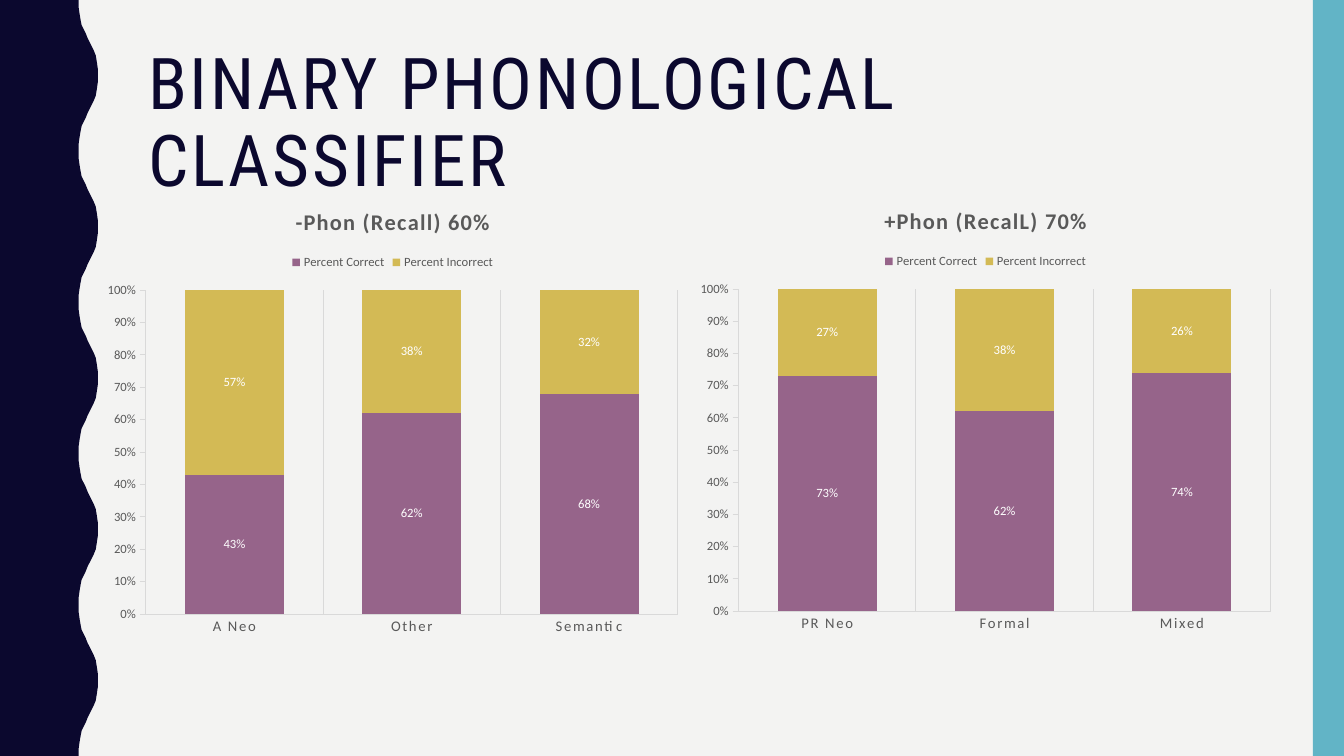
import pptx
import pptx.chart.data
import pptx.dml.color
import pptx.enum.chart
import pptx.enum.shapes
import pptx.enum.text
import pptx.util
from dataclasses import dataclass

Inches, Pt = pptx.util.Inches, pptx.util.Pt
XL = pptx.enum.chart


@dataclass(frozen=True)
class Theme:
    """Colours, fonts and type sizes of the slide."""
    background: str = "F3F3F2"
    navy: str = "0B082E"
    teal: str = "62B4C6"
    correct: str = "96648A"
    incorrect: str = "D3BA55"
    grey: str = "595959"
    rule: str = "D9D9D9"
    white: str = "FFFFFF"
    title_font: str = "Roboto Condensed"
    chart_font: str = "Calibri"
    title_size: float = 51
    chart_title_size: float = 16
    category_size: float = 10.5
    small_size: float = 9


THEME = Theme()
# One half of a wave, from trough to crest
HALF_WAVE = [(0.78, 0), (0.78, 0.07), (0.79, 0.14), (0.8, 0.2), (0.81, 0.25),
             (0.83, 0.29), (0.85, 0.33), (0.87, 0.38), (0.89, 0.42),
             (0.91, 0.46), (0.93, 0.5), (0.95, 0.55), (0.96, 0.61),
             (0.97, 0.68), (0.97, 0.75)]
WAVE_HEIGHT = 1.5


def rgb(value):
    """Return a colour object for an RRGGBB string."""
    return pptx.dml.color.RGBColor.from_string(value)


def fill_shape(s, color):
    """Give a shape a flat fill with no line or shadow."""
    s.shadow.inherit = False
    s.fill.solid()
    s.fill.fore_color.rgb = rgb(color)
    s.line.fill.background()


def style_font(font, name, size, color, bold=False):
    """Set the face, size, colour and weight of a font."""
    font.name, font.size, font.bold = name, Pt(size), bold
    font.color.rgb = rgb(color)


def style_chart_font(font, size, color=THEME.grey, bold=False):
    """Style a font with the face used in the charts."""
    style_font(font, THEME.chart_font, size, color, bold)


def add_wave_band(slide, left, top, height):
    """Draw the navy band whose right edge repeats the wave."""
    wave = HALF_WAVE + [(x, WAVE_HEIGHT - y) for x, y in HALF_WAVE[-2::-1]]
    edge = [(left + x, top + y + i * WAVE_HEIGHT)
            for i in range(round(height / WAVE_HEIGHT)) for x, y in wave]
    points = [(Inches(x), Inches(y)) for x, y in edge + [(left, top + height)]]
    builder = slide.shapes.build_freeform(Inches(left), Inches(top))
    builder.add_line_segments(points, close=True)
    fill_shape(builder.convert_to_shape(), THEME.navy)


def add_side_bar(slide, left, top, width, height):
    """Draw the teal bar on the right edge."""
    s = slide.shapes.add_shape(pptx.enum.shapes.MSO_SHAPE.RECTANGLE,
                               *map(Inches, (left, top, width, height)))
    fill_shape(s, THEME.teal)


def add_title(slide, text, left, top, width, height):
    """Write the slide title, centred vertically in its box."""
    s = slide.shapes.add_textbox(*map(Inches, (left, top, width, height)))
    tf = s.text_frame
    tf.word_wrap = True
    tf.vertical_anchor = pptx.enum.text.MSO_ANCHOR.MIDDLE
    tf.text = text
    p = tf.paragraphs[0]
    p.line_spacing = 0.9
    r = p.runs[0]
    style_font(r.font, THEME.title_font, THEME.title_size, THEME.navy)
    r._r.get_or_add_rPr().set("spc", "200")


def style_axis(axis, size, tick):
    """Set the line, tick marks and labels shared by both axes."""
    axis.format.line.color.rgb = rgb(THEME.rule)
    axis.format.line.width = Pt(0.75)
    axis.major_tick_mark = tick
    axis.minor_tick_mark = XL.XL_TICK_MARK.NONE
    style_chart_font(axis.tick_labels.font, size)


def add_recall_chart(slide, title, kind, categories, correct, incorrect,
                     left, top, width, height):
    """Add a stacked chart of correct and incorrect shares."""
    data = pptx.chart.data.CategoryChartData(number_format="0%")
    data.categories = categories
    data.add_series("Percent Correct", correct)
    data.add_series("Percent Incorrect", incorrect)
    box = map(Inches, (left, top, width, height))
    chart = slide.shapes.add_chart(kind, *box, data).chart
    style_chart_font(chart.font, THEME.small_size)

    tf = chart.chart_title.text_frame
    tf.text = title
    r = tf.paragraphs[0].runs[0]
    style_chart_font(r.font, THEME.chart_title_size, bold=True)
    r._r.get_or_add_rPr().set("spc", "100")
    chart.chart_title.include_in_layout = False

    chart.has_legend = True
    chart.legend.position = XL.XL_LEGEND_POSITION.TOP
    chart.legend.include_in_layout = False
    style_chart_font(chart.legend.font, THEME.small_size)

    cat = chart.category_axis
    style_axis(cat, THEME.category_size, XL.XL_TICK_MARK.NONE)
    cat.has_major_gridlines = True
    cat.major_gridlines.format.line.color.rgb = rgb(THEME.rule)
    cat.major_gridlines.format.line.width = Pt(0.75)
    for props in cat._element.xpath("c:txPr//a:defRPr"):
        props.set("spc", "120")

    val = chart.value_axis
    style_axis(val, THEME.small_size, XL.XL_TICK_MARK.OUTSIDE)
    val.has_major_gridlines = False
    val.minimum_scale, val.maximum_scale, val.major_unit = 0, 1, 0.1
    val.tick_labels.number_format = "0%"
    val.tick_labels.number_format_is_linked = False

    plot = chart.plots[0]
    plot.gap_width, plot.overlap, plot.vary_by_categories = 79, 100, False
    for series, color in zip(plot.series, (THEME.correct, THEME.incorrect)):
        series.format.fill.solid()
        series.format.fill.fore_color.rgb = rgb(color)
        labels = series.data_labels
        labels.show_value = True
        labels.number_format = "0%"
        labels.number_format_is_linked = False
        labels.position = XL.XL_LABEL_POSITION.CENTER
        style_chart_font(labels.font, THEME.small_size, THEME.white)


def build_classifier_slide(prs):
    """Build the slide that compares recall for the two classes."""
    slide = prs.slides.add_slide(prs.slide_layouts[6])
    slide.background.fill.solid()
    slide.background.fill.fore_color.rgb = rgb(THEME.background)
    add_wave_band(slide, 0, 0, 7.5)
    add_side_bar(slide, 13.02, 0, 0.31, 7.5)
    add_title(slide, "BINARY PHONOLOGICAL CLASSIFIER", 1.37, 0.42, 11.13, 1.63)
    add_recall_chart(slide, "-Phon (Recall) 60%",
                     XL.XL_CHART_TYPE.COLUMN_STACKED_100,
                     ("A Neo", "Other", "Semantic"),
                     (0.43, 0.62, 0.68), (0.57, 0.38, 0.32),
                     0.95, 1.87, 5.89, 4.53)
    add_recall_chart(slide, "+Phon (RecalL) 70%",
                     XL.XL_CHART_TYPE.COLUMN_STACKED,
                     ("PR Neo", "Formal", "Mixed"),
                     (0.73, 0.62, 0.74), (0.27, 0.38, 0.26),
                     6.83, 1.86, 5.89, 4.51)


prs = pptx.Presentation()
prs.slide_width, prs.slide_height = Inches(13.33), Inches(7.5)
build_classifier_slide(prs)
prs.save("out.pptx")
